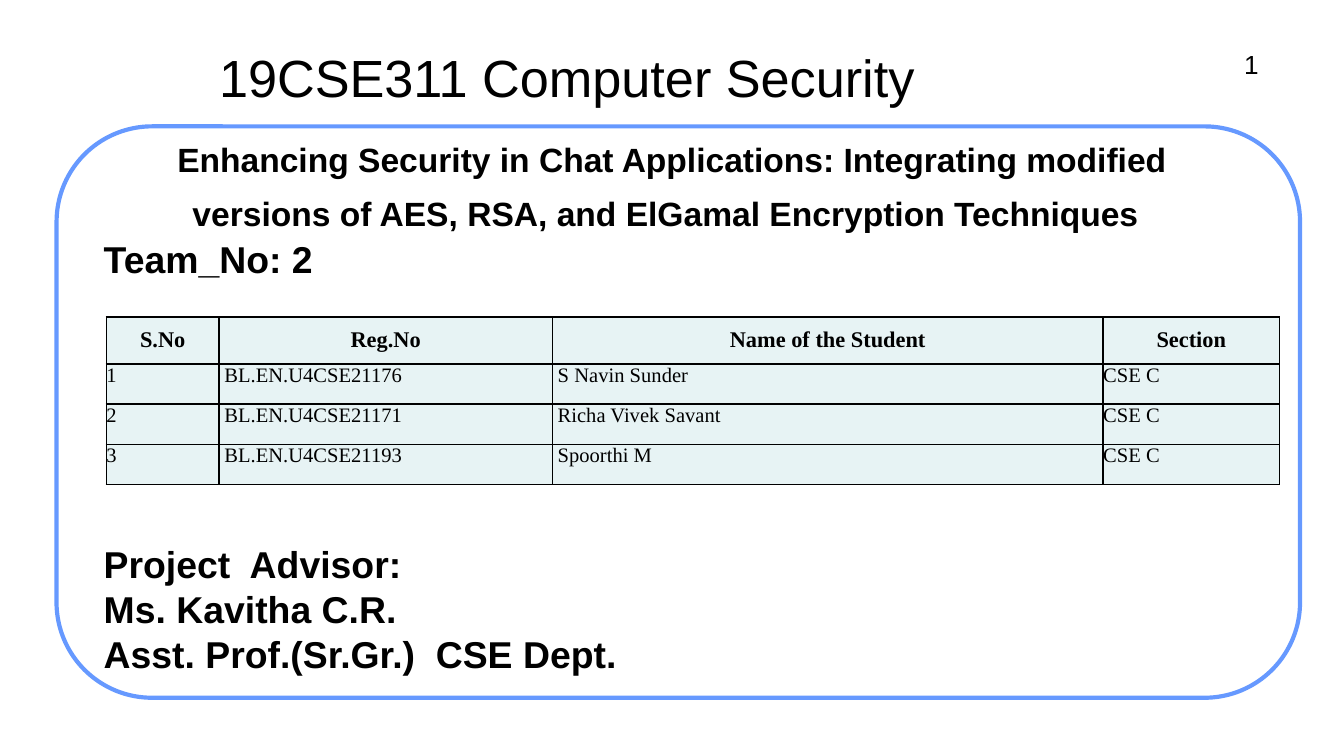
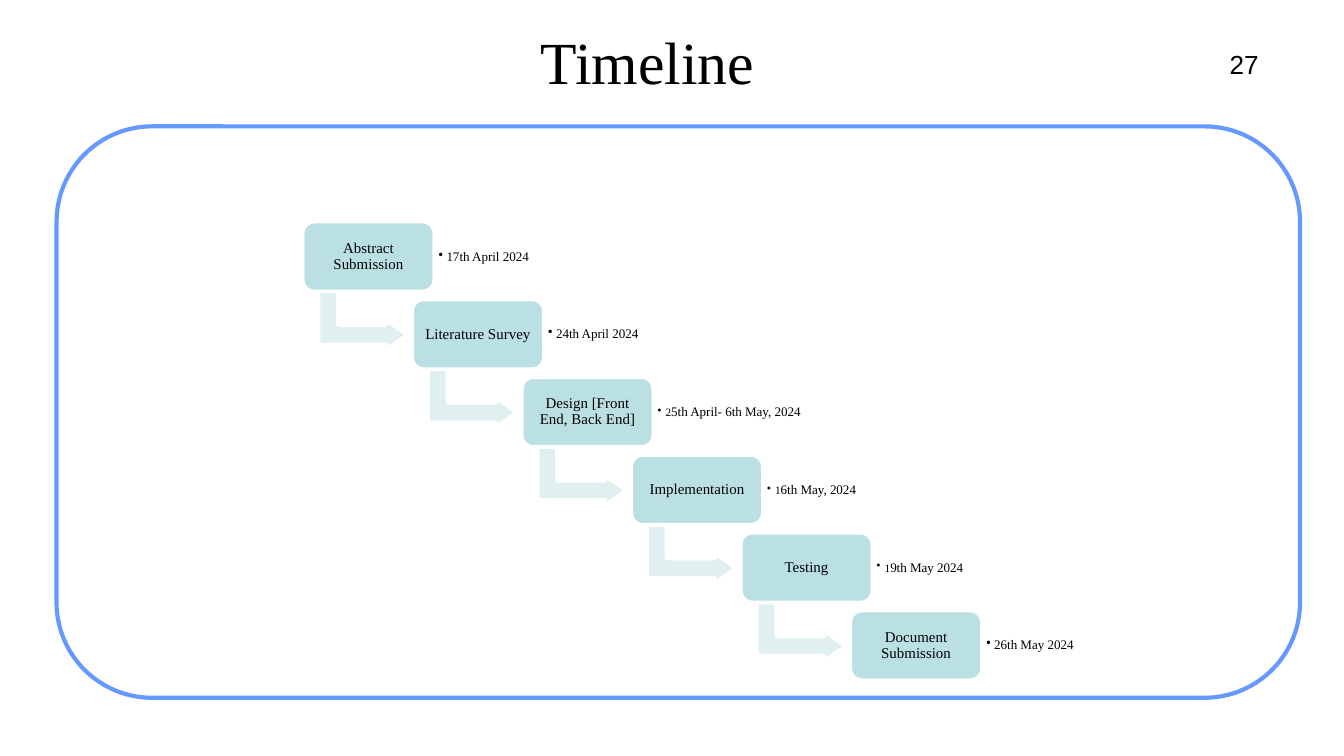
"""Build the opening and timeline slides of a computer security project deck."""
from dataclasses import dataclass
from typing import Any

from lxml import etree
from pptx import Presentation
from pptx.dml.color import RGBColor
from pptx.enum.shapes import MSO_SHAPE
from pptx.enum.text import MSO_ANCHOR, MSO_AUTO_SIZE, PP_ALIGN
from pptx.oxml.ns import qn
from pptx.util import Cm, Pt

ROUNDED, RECTANGLE, BENT_ARROW = (
    MSO_SHAPE.ROUNDED_RECTANGLE, MSO_SHAPE.RECTANGLE, MSO_SHAPE.BENT_UP_ARROW)
LEFT, CENTER, RIGHT = PP_ALIGN.LEFT, PP_ALIGN.CENTER, PP_ALIGN.RIGHT
TOP, MIDDLE = MSO_ANCHOR.TOP, MSO_ANCHOR.MIDDLE
NO_AUTOFIT = MSO_AUTO_SIZE.NONE

COLORS = {
    "text": "000000", "paper": "FFFFFF", "frame": "6699FF",
    "cell": "E7F3F4", "card": "BBE0E3", "arrow": "E0F0F1",
}
SANS, SERIF = "Arial", "Times New Roman"
TITLE_LAYOUT, BODY_LAYOUT = 5, 1
WIDE_INSET, SMALL_INSET = 0.13, 0.08

TEXT_STYLES: dict[str, dict[str, Any]] = {
    "course": {"name": SANS, "size": Pt(28), "bold": False},
    "project": {"name": SANS, "size": Pt(18), "bold": True},
    "project_end": {"name": SANS, "size": Pt(25.2), "bold": False},
    "body": {"name": SANS, "size": Pt(20), "bold": True},
    "number": {"name": SANS, "size": Pt(14), "bold": False},
    "title": {"name": SERIF, "size": Pt(32), "bold": False},
    "header": {"name": SERIF, "size": Pt(12), "bold": True},
    "cell": {"name": SERIF, "size": Pt(11), "bold": False},
    "card": {"name": SERIF, "size": Pt(8), "bold": False},
    "date": {"name": SERIF, "size": Pt(7), "bold": False},
    "date_lead": {"name": SERIF, "size": Pt(6), "bold": False},
}


@dataclass(frozen=True)
class Box:
    """A place on the slide, in centimetres."""
    left: float
    top: float
    width: float
    height: float

    def lengths(self) -> tuple:
        """Return the four sides as lengths."""
        return Cm(self.left), Cm(self.top), Cm(self.width), Cm(self.height)


@dataclass(frozen=True)
class Step:
    """One stage of the timeline with its date."""
    name: str
    date: str
    date_width: float = 2.31
    small_lead: int = 0


@dataclass(frozen=True)
class Column:
    """One column of the student table."""
    heading: str
    width: float
    indent: float
    values: tuple[str, ...]


FRAME_BOX = Box(1.07, 2.39, 23.5, 10.8)
COLUMNS = (
    Column("S.No", 2.13, 0, ("1", "2", "3")),
    Column("Reg.No", 6.3, 0.1,
           ("BL.EN.U4CSE21176", "BL.EN.U4CSE21171", "BL.EN.U4CSE21193")),
    Column("Name of the Student", 10.41, 0.1,
           ("S Navin Sunder", "Richa Vivek Savant", "Spoorthi M")),
    Column("Section", 3.33, 0, ("CSE C",) * 3),
)
ROW_HEIGHTS = (0.89, 0.76, 0.76, 0.76)
BODY_LINES = (
    ("Team_No: 2", 0),
    ("Project  Advisor:", 144),
    ("Ms. Kavitha C.R.", 5),
    ("Asst. Prof.(Sr.Gr.)  CSE Dept.", 5),
)
STEPS = (
    Step("Abstract Submission", "17th April 2024"),
    Step("Literature Survey", "24th April 2024"),
    Step("Design [Front End, Back End]", "25th April- 6th May, 2024", 3.1, 1),
    Step("Implementation", "16th May, 2024", small_lead=1),
    Step("Testing", "19th May 2024", 2.49, 1),
    Step("Document Submission", "26th May 2024"),
)


def color(name: str) -> RGBColor:
    """Look up a named colour."""
    return RGBColor.from_string(COLORS[name])


def apply(target: Any, values: dict[str, Any]) -> None:
    """Set each named attribute on the target."""
    for name, value in values.items():
        setattr(target, name, value)


def place(shape: Any, box: Box) -> None:
    """Move a shape into its box."""
    apply(shape, dict(zip(("left", "top", "width", "height"), box.lengths())))


def format_frame(frame: Any, inset: float, anchor: Any) -> None:
    """Set wrapping, insets and anchor of a text frame."""
    sides = ("margin_left", "margin_top", "margin_right", "margin_bottom")
    apply(frame, {"word_wrap": True, "auto_size": NO_AUTOFIT,
                  "vertical_anchor": anchor, **dict.fromkeys(sides, Cm(inset))})


def add_run(paragraph: Any, text: str, style: str) -> None:
    """Add styled text to a paragraph."""
    run = paragraph.add_run()
    run.text = text
    apply(run.font, TEXT_STYLES[style])
    run.font.color.rgb = color("text")


def write(shape: Any, text: str, style: str, align: Any = CENTER,
          inset: float = WIDE_INSET, anchor: Any = MIDDLE,
          spacing: float = 1.0) -> Any:
    """Write one paragraph into a shape and return it."""
    format_frame(shape.text_frame, inset, anchor)
    paragraph = shape.text_frame.paragraphs[0]
    apply(paragraph, {"alignment": align, "line_spacing": spacing})
    add_run(paragraph, text, style)
    return paragraph


def add_preset(slide: Any, kind: Any, box: Box, fill: str, line: str,
               line_width: float) -> Any:
    """Add a flat preset shape."""
    shape = slide.shapes.add_shape(kind, *box.lengths())
    shape.shadow.inherit = False
    shape.fill.solid()
    shape.fill.fore_color.rgb = color(fill)
    shape.line.color.rgb = color(line)
    shape.line.width = Pt(line_width)
    return shape


def add_page_number(slide: Any, number: str, width: float) -> None:
    """Add the page number against its right edge."""
    shape = slide.shapes.add_textbox(*Box(23.92 - width, 0.79, width, 0.61).lengths())
    write(shape, number, "number", RIGHT, anchor=TOP)


def add_master_frame(presentation: Any, slide: Any) -> None:
    """Draw the rounded frame and hand it to the slide master."""
    frame = add_preset(slide, ROUNDED, FRAME_BOX, "paper", "frame", 2.25)
    frame.adjustments[0] = 0.167
    element = frame._element
    element.nvSpPr.cNvPr.set("id", "100")
    presentation.slide_master.shapes._spTree.insert(2, element)


def add_borders(cell: Any) -> None:
    """Draw a thin line on every side of a cell."""
    properties = cell._tc.get_or_add_tcPr()
    for side in ("lnL", "lnR", "lnT", "lnB"):
        line = etree.SubElement(properties, qn(f"a:{side}"), w=str(Pt(1)))
        fill = etree.SubElement(line, qn("a:solidFill"))
        etree.SubElement(fill, qn("a:srgbClr"), val=COLORS["text"])


def fill_cell(cell: Any, text: str, row: int, indent: float) -> None:
    """Write and colour one table cell."""
    header = row == 0
    apply(cell, {"margin_left": Cm(0 if header else indent), "margin_right": 0,
                 "margin_top": 0, "margin_bottom": 0,
                 "vertical_anchor": MIDDLE if header else TOP})
    paragraph = cell.text_frame.paragraphs[0]
    paragraph.alignment = CENTER if header else LEFT
    add_run(paragraph, text, "header" if header else "cell")
    add_borders(cell)
    cell.fill.solid()
    cell.fill.fore_color.rgb = color("cell")


def add_student_table(slide: Any) -> None:
    """Add the table of team members."""
    box = Box(2.01, 5.99, sum(column.width for column in COLUMNS), sum(ROW_HEIGHTS))
    table = slide.shapes.add_table(
        len(ROW_HEIGHTS), len(COLUMNS), *box.lengths()).table
    apply(table, {"first_row": False, "horz_banding": False})
    for row, height in enumerate(ROW_HEIGHTS):
        table.rows[row].height = Cm(height)
    for index, column in enumerate(COLUMNS):
        table.columns[index].width = Cm(column.width)
        for row, text in enumerate((column.heading, *column.values)):
            fill_cell(table.cell(row, index), text, row, column.indent)


def set_indent(paragraph: Any, margin: float, indent: float, bullet: str) -> None:
    """Set the indents of a paragraph and its bullet, if any."""
    properties = paragraph._p.get_or_add_pPr()
    properties.set("marL", str(Cm(margin)))
    properties.set("indent", str(Cm(indent)))
    if bullet:
        bullet_color = etree.SubElement(properties, qn("a:buClr"))
        etree.SubElement(bullet_color, qn("a:srgbClr"), val=COLORS["text"])
        etree.SubElement(properties, qn("a:buChar"), char=bullet)
    else:
        etree.SubElement(properties, qn("a:buNone"))


def fill_body(body: Any) -> None:
    """Write the team number and the advisor lines."""
    place(body, Box(1.83, 4.5, 22.25, 7.39))
    frame = body.text_frame
    format_frame(frame, WIDE_INSET, TOP)
    for index, (text, gap) in enumerate(BODY_LINES):
        paragraph = frame.add_paragraph() if index else frame.paragraphs[0]
        set_indent(paragraph, 0, 0, "")
        apply(paragraph, {"alignment": LEFT, "line_spacing": 0.8,
                          "space_before": Pt(gap), "space_after": Pt(0)})
        add_run(paragraph, text, "body")


def add_step(slide: Any, index: int, step: Step) -> None:
    """Add one timeline card with its date and the arrow to the next."""
    left, top = 5.72 + 2.07 * index, 4.19 + 1.47 * index
    if index < len(STEPS) - 1:
        arrow = add_preset(slide, BENT_ARROW, Box(left + 0.58, top + 1.02, 1.12, 1.68),
                           "arrow", "paper", 2)
        arrow.rotation = 90
        for position, value in enumerate((0.328, 0.25, 0.358)):
            arrow.adjustments[position] = value
    card = add_preset(slide, ROUNDED, Box(left, top, 2.49, 1.32), "card", "paper", 2)
    write(card, step.name, "card", inset=2 * SMALL_INSET, spacing=0.9)

    date_box = Box(left + 2.49, top + 0.13, step.date_width, 1.07)
    date = slide.shapes.add_textbox(*date_box.lengths())
    format_frame(date.text_frame, SMALL_INSET, MIDDLE)
    paragraph = date.text_frame.paragraphs[0]
    set_indent(paragraph, 0.15, -0.16, "•")
    apply(paragraph, {"level": 1, "line_spacing": 0.9, "alignment": LEFT})
    lead, rest = step.date[:step.small_lead], step.date[step.small_lead:]
    if lead:
        add_run(paragraph, lead, "date_lead")
    add_run(paragraph, rest, "date")


def build_opening(presentation: Any) -> None:
    """Build the slide that presents the project and the team."""
    slide = presentation.slides.add_slide(presentation.slide_layouts[BODY_LAYOUT])
    add_master_frame(presentation, slide)
    title = slide.shapes.title
    place(title, Box(2.01, 2.59, 21.39, 1.91))
    paragraph = write(
        title, "Enhancing Security in Chat Applications: Integrating modified "
        "versions of AES, RSA, and ElGamal Encryption Techniques", "project")
    add_run(paragraph, " ", "project_end")
    fill_body(slide.placeholders[1])
    add_student_table(slide)
    course = add_preset(slide, RECTANGLE, Box(4.01, 0.97, 19.05, 0.97),
                        "paper", "paper", 0.75)
    write(course, "19CSE311 Computer Security", "course", LEFT)
    add_page_number(slide, "1", 0.56)


def build_timeline(presentation: Any) -> None:
    """Build the slide with the stepped timeline."""
    slide = presentation.slides.add_slide(presentation.slide_layouts[TITLE_LAYOUT])
    place(slide.shapes.title, Box(0.81, 0.38, 22.86, 1.55))
    write(slide.shapes.title, "Timeline", "title")
    for index, step in enumerate(STEPS):
        add_step(slide, index, step)
    add_page_number(slide, "27", 0.84)


def main() -> None:
    """Build both slides and save the file."""
    presentation = Presentation()
    apply(presentation, {"slide_width": Cm(25.4), "slide_height": Cm(14.29)})
    build_opening(presentation)
    build_timeline(presentation)
    presentation.save("out.pptx")


if __name__ == "__main__":
    main()
